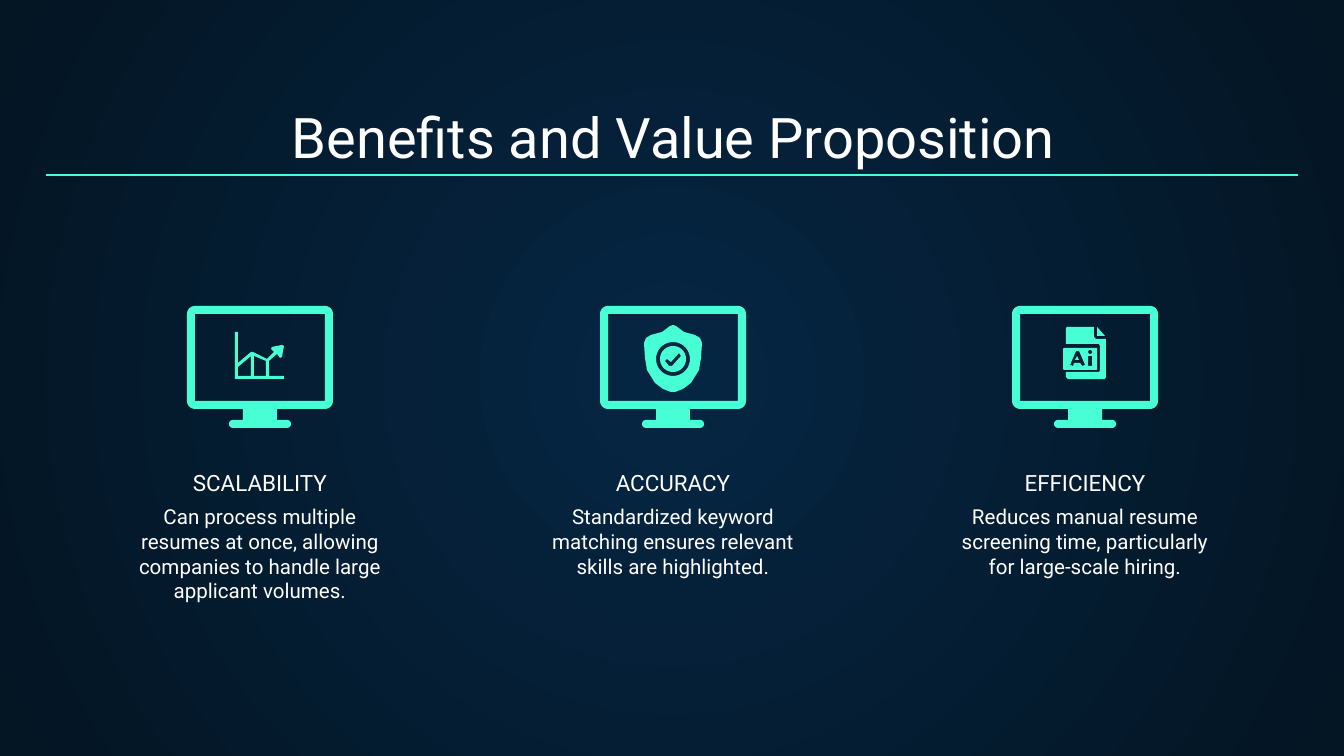
from math import cos, radians, sin

from lxml import etree
from pptx import Presentation
from pptx.dml.color import RGBColor
from pptx.enum.shapes import MSO_CONNECTOR
from pptx.enum.text import MSO_ANCHOR, PP_ALIGN
from pptx.oxml import parse_xml
from pptx.oxml.ns import nsdecls, qn
from pptx.util import Inches, Pt

PX = 6804  # EMU per px
FONT = "Roboto"
WHITE, MINT = "FFFFFF", "48FFD5"
color = RGBColor.from_string

prs = Presentation()
prs.slide_width, prs.slide_height = Inches(10), Inches(5.625)
s = prs.slides.add_slide(prs.slide_layouts[6])


def arc(cx, cy, radius, start=0, end=360):
    """Points along an arc, clockwise from the right."""
    steps = max(4, abs(end - start) // 10)
    angles = [radians(start + (end - start) * i / steps) for i in range(steps + 1)]
    return [(cx + radius * cos(a), cy + radius * sin(a)) for a in angles]


def add_icon(*contours):
    """One mint outline; inner contours cut holes."""
    scaled = [[(x * PX, y * PX) for x, y in points] for points in contours]
    fb = s.shapes.build_freeform(*scaled[0][0])
    fb.add_line_segments(scaled[0][1:], close=True)
    for points in scaled[1:]:
        fb.move_to(*points[0])
        fb.add_line_segments(points[1:], close=True)
    sp = fb.convert_to_shape()
    sp.fill.solid()
    sp.fill.fore_color.rgb = color(MINT)
    sp.line.fill.background()
    sp.shadow.inherit = False


# Background: radial gradient
fill = s.background.fill
fill.gradient()
for stop, shade in zip(fill.gradient_stops, ("052643", "041523")):
    stop.color.rgb = color(shade)
grad = s.element.find(".//" + qn("a:gradFill"))
grad.replace(grad.find(qn("a:lin")), parse_xml(
    f'<a:path {nsdecls("a")} path="circle">'
    '<a:fillToRect l="50000" t="50000" r="50000" b="50000"/></a:path>'))

# Texts: left, top, width, height, size, anchor, wording
benefits = [
    (260, "SCALABILITY", "Can process multiple resumes at once, allowing "
                         "companies to handle large applicant volumes."),
    (673, "ACCURACY", "Standardized keyword matching ensures relevant "
                      "skills are highlighted."),
    (1085, "EFFICIENCY", "Reduces manual resume screening time, particularly "
                         "for large-scale hiring."),
]
texts = [(47, 94, 1253, 89, 30, MSO_ANCHOR.BOTTOM, "Benefits and Value Proposition")]
for cx, heading, detail in benefits:
    texts.append((cx - 139, 491, 278, 74, 11, MSO_ANCHOR.TOP, detail))
    texts.append((cx - 153, 481, 306, 28, 12, MSO_ANCHOR.BOTTOM, heading))

for left, top, width, height, size, anchor, wording in texts:
    tf = s.shapes.add_textbox(left * PX, top * PX, width * PX, height * PX).text_frame
    tf.word_wrap = True
    tf.vertical_anchor = anchor
    tf.margin_left = tf.margin_right = tf.margin_top = tf.margin_bottom = Inches(0.1)
    p = tf.paragraphs[0]
    p.text = wording
    p.alignment = PP_ALIGN.CENTER
    p.font.name, p.font.size = FONT, Pt(size)
    p.font.color.rgb = color(WHITE)

# Rule under the title
rule = s.shapes.add_connector(MSO_CONNECTOR.STRAIGHT, 46 * PX, 175 * PX, 1298 * PX, 175 * PX)
rule.line.color.rgb = color(MINT)
rule.line.width = Pt(0.75)
etree.SubElement(rule._element.spPr, qn("a:effectLst"))

# Monitors
for cx, _, _ in benefits:
    add_icon(
        arc(cx - 65, 314, 8, 180, 270) + arc(cx + 65, 314, 8, 270, 360)
        + arc(cx + 65, 401, 8, 0, 90) + [(cx + 17, 409), (cx + 17, 420)]
        + arc(cx + 27, 424, 4, -90, 90) + arc(cx - 27, 424, 4, 90, 270)
        + [(cx - 17, 420), (cx - 17, 409)] + arc(cx - 65, 401, 8, 90, 180),
        [(cx - 65, 314), (cx + 65, 314), (cx + 65, 401), (cx - 65, 401)],
    )

# Growth chart with arrow
add_icon(
    [(235, 332), (235, 379), (284, 379), (284, 376), (269, 376), (269, 361),
     (277, 354), (280, 358), (282, 357), (284, 346), (282, 345), (272, 347),
     (271, 349), (274, 352), (267, 359), (253, 352), (251, 352), (238, 363), (238, 332)],
    [(251, 356), (251, 376), (238, 376), (238, 367)],
    [(254, 356), (266, 361), (266, 376), (254, 376)],
)

# Shield with check mark
right_half = [(673, 325), (676, 326), (684, 332), (695, 335), (700, 338), (702, 343),
              (701, 358), (699, 370), (691, 383), (683, 389), (675, 392)]
left_half = [(2 * 673 - x, y) for x, y in reversed(right_half[1:])]
add_icon(right_half + left_half, arc(673, 359, 17))
add_icon(arc(673, 359, 13), [(679, 353), (681, 356), (672, 366), (669, 366),
                             (665, 361), (667, 359), (671, 362)])

# Document with folded corner
add_icon([(1066, 328), (1067, 327), (1094, 327), (1094, 337), (1096, 339), (1106, 339),
          (1106, 377), (1105, 379), (1068, 379), (1066, 377), (1066, 372), (1099, 372),
          (1100, 371), (1100, 346), (1099, 344), (1066, 344)])
add_icon([(1097, 327), (1097, 336), (1105, 336)])

# Document label with cut-out letters
add_icon(
    [(1063, 349), (1064, 348), (1097, 348), (1097, 370), (1064, 370), (1063, 369)],
    [(1076, 351), (1079, 351), (1085, 365), (1082, 366), (1080, 363),
     (1074, 363), (1073, 366), (1070, 365)],
    [(1077, 356), (1075, 360), (1079, 360)],
    [(1088, 356), (1092, 356), (1092, 366), (1088, 366)],
    arc(1090, 352, 2),
)

prs.save("out.pptx")
